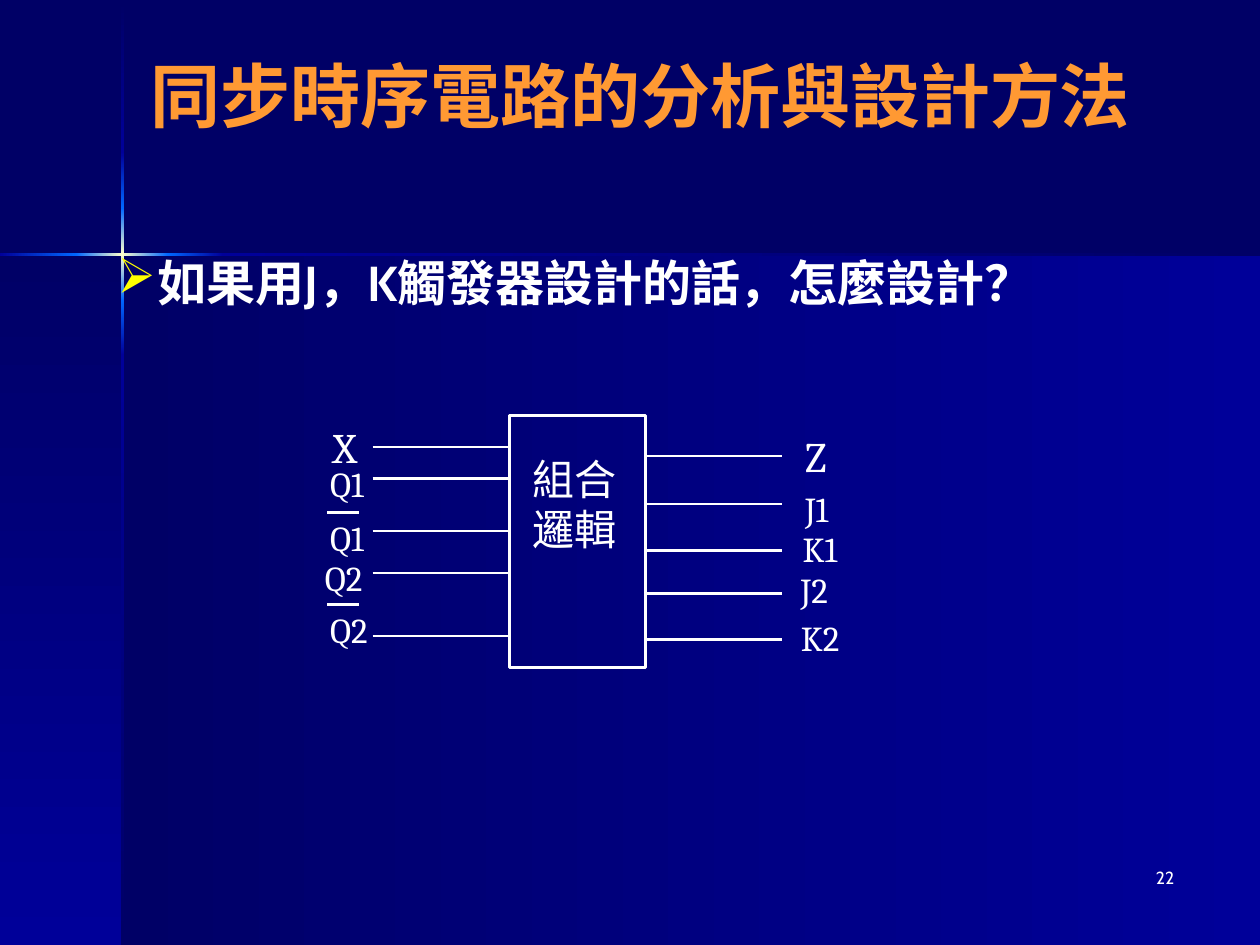
from copy import deepcopy

from lxml import etree
from pptx import Presentation
from pptx.dml.color import RGBColor
from pptx.enum.shapes import MSO_CONNECTOR, MSO_SHAPE
from pptx.enum.text import MSO_ANCHOR, PP_ALIGN
from pptx.oxml.ns import qn
from pptx.util import Pt

RECT = MSO_SHAPE.RECTANGLE
STRAIGHT = MSO_CONNECTOR.STRAIGHT
LEFT, CENTER, RIGHT = PP_ALIGN.LEFT, PP_ALIGN.CENTER, PP_ALIGN.RIGHT
TOP, MIDDLE = MSO_ANCHOR.TOP, MSO_ANCHOR.MIDDLE

COLORS = {
    "navy": "000066",
    "blue": "000099",
    "bright": "0066FF",
    "glow": "FFFFCC",
    "white": "FFFFFF",
    "orange": "FF9933",
    "yellow": "FFFF00",
}
SANS, SERIF = "Cabin", "Cambria"
WIDTH, HEIGHT = 720, 540
CROSS_X, CROSS_Y = 70, 145.5
BEAM = 1.5


def rgb(name):
    return RGBColor.from_string(COLORS[name])


def pts(*values):
    return [Pt(v) for v in values]


def write(sp, text, size, font=SANS, color="white", bold=False,
          align=LEFT, anchor=TOP, wrap=True, bullet=None, indent=0):
    tf = sp.text_frame
    tf.word_wrap = wrap
    tf.vertical_anchor = anchor
    p = tf.paragraphs[0]
    p.alignment = align
    if bullet:
        pPr = p._p.get_or_add_pPr()
        pPr.set("marL", str(Pt(indent)))
        pPr.set("indent", str(-Pt(indent)))
        clr = etree.SubElement(pPr, qn("a:buClr"))
        etree.SubElement(clr, qn("a:srgbClr"), val=COLORS["yellow"])
        etree.SubElement(pPr, qn("a:buChar"), char=bullet)
    r = p.add_run()
    r.text = text
    r.font.size = Pt(size)
    r.font.name = font
    r.font.bold = bold
    r.font.color.rgb = rgb(color)


def add_text(shapes, box, text, size, **fmt):
    write(shapes.add_textbox(*pts(*box)), text, size, **fmt)


def add_line(shapes, x1, x2, y):
    line = shapes.add_connector(STRAIGHT, *pts(x1, y, x2, y))
    line.line.color.rgb = rgb("white")
    line.line.width = Pt(1.5)
    etree.SubElement(line._element.spPr, qn("a:effectLst"))


def add_gradient(shapes, box, colors, down=False):
    """Borderless rectangle with evenly spaced gradient stops."""
    sp = shapes.add_shape(RECT, *pts(*box))
    sp.shadow.inherit = False
    sp.line.fill.background()
    sp.fill.gradient()
    sp.fill.gradient_angle = 270 if down else 0
    stop_list = sp._element.spPr.find(".//" + qn("a:gsLst"))
    for _ in colors[2:]:
        stop_list.insert(1, deepcopy(stop_list[0]))
    for i, (stop, color) in enumerate(zip(sp.fill.gradient_stops, colors)):
        stop.color.rgb = rgb(color)
        stop.position = i / (len(colors) - 1)


def add_backdrop(slide):
    """Two gradient panels and the glowing cross where they meet."""
    slide.background.fill.solid()
    slide.background.fill.fore_color.rgb = rgb("navy")
    shapes = slide.shapes.add_group_shape().shapes
    low = HEIGHT - CROSS_Y
    add_gradient(shapes, (CROSS_X, CROSS_Y, WIDTH - CROSS_X, low), ("navy", "blue"))
    add_gradient(shapes, (0, CROSS_Y, CROSS_X, low), ("navy", "blue"), down=True)

    rise, fall = ("blue", "bright"), ("bright", "blue")
    core, fade = ("bright", "glow", "bright"), ("blue", "navy")
    vertical = [(0.5, 87, ("navy", "blue")), (87, 119, rise), (119, 171.5, core),
                (171.5, 203, fall), (203, HEIGHT, fade)]
    horizontal = [(0, 43.5, rise), (43.5, 96, core), (96, 127.5, fall),
                  (127.5, WIDTH, fade)]
    for start, end, colors in vertical:
        add_gradient(shapes, (CROSS_X - BEAM / 2, start, BEAM, end - start),
                     colors, down=True)
    for start, end, colors in horizontal:
        add_gradient(shapes, (start, CROSS_Y - BEAM / 2, end - start, BEAM), colors)


def add_title(slide, box, text):
    title = slide.shapes.title
    title.left, title.top, title.width, title.height = pts(*box)
    write(title, text, 40, color="orange", bold=True, align=CENTER, anchor=MIDDLE)


def add_circuit(slide, left, top):
    """Combinational logic block with its input and output wires."""
    shapes = slide.shapes.add_group_shape().shapes
    block_x, block_w, block_h, wire = left + 112.5, 78, 144, 78
    block = shapes.add_shape(RECT, *pts(block_x, top, block_w, block_h))
    block.shadow.inherit = False
    block.fill.background()
    block.line.color.rgb = rgb("white")
    block.line.width = Pt(1.5)
    add_text(shapes, (block_x + 6.5, top + 18, block_w, 65.5), "組合邏輯", 24, font=SERIF)

    for y in (18, 36, 66, 90, 126):
        add_line(shapes, block_x - wire, block_x, top + y)
    block_end = block_x + block_w
    for y in (23, 50.5, 77, 101.5, 128):
        add_line(shapes, block_end, block_end + wire, top + y)

    # text, x, y, width, overlined
    labels = [
        ("X", 4.5, 0, 30, False), ("Q1", 3, 23, 38, False),
        ("Q1", 3, 54, 38, True), ("Q2", 0, 77, 40, False),
        ("Q2", 3, 106.5, 40, True), ("Z", 274.5, 5, 30, False),
        ("J1", 274.5, 37.5, 50, False), ("K1", 273, 60.5, 37.5, False),
        ("J2", 272, 84, 50, False), ("K2", 272, 111, 39.5, False),
    ]
    for text, x, y, width, overlined in labels:
        size = 24 if len(text) == 1 else 20
        add_text(shapes, (left + x, top + y, width, size * 1.2 + 7), text, size,
                 font=SERIF, wrap=text[0] not in "QK")
        if overlined:
            add_line(shapes, left + x + 5.5, left + x + 23.5, top + y + 1.5)


def main():
    prs = Presentation()
    prs.slide_width, prs.slide_height = pts(WIDTH, HEIGHT)
    slide = prs.slides.add_slide(prs.slide_layouts[5])
    add_backdrop(slide)
    add_title(slide, (36, 24, 660, 60), "同步時序電路的分析與設計方法")
    add_text(slide.shapes, (60, 141, 612, 41), "如果用J，K觸發器設計的話，怎麼設計？", 28,
             bold=True, bullet="➢", indent=23)
    add_circuit(slide, 178.5, 237.5)
    add_text(slide.shapes, (528, 492, 150, 36), "22", 10, align=RIGHT)
    prs.save("out.pptx")


if __name__ == "__main__":
    main()
